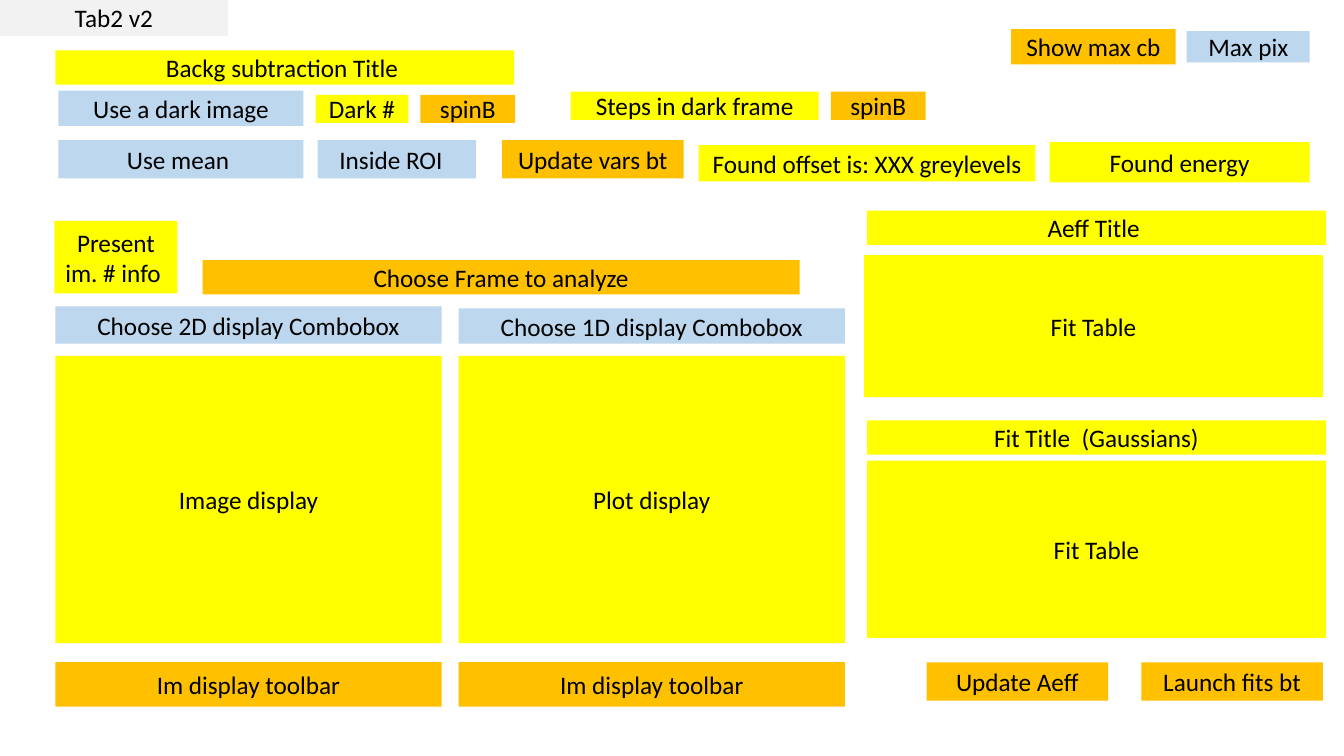
from pptx import Presentation
from pptx.dml.color import RGBColor
from pptx.enum.shapes import MSO_SHAPE
from pptx.enum.text import MSO_ANCHOR, PP_ALIGN
from pptx.util import Inches, Pt

RECTANGLE = MSO_SHAPE.RECTANGLE
MIDDLE = MSO_ANCHOR.MIDDLE
CENTER = PP_ALIGN.CENTER

COLORS = {
    "tab": "F2F2F2",
    "display": "FFFF00",
    "control": "FFC000",
    "selector": "BDD7EE",
    "text": "000000",
}

TAB = [("Tab2 v2", "tab", 0, -0.02, 2.26, 0.38)]

MAX_PIXEL = [
    ("Show max cb", "control", 10.03, 0.29, 1.63, 0.35),
    ("Max pix", "selector", 11.77, 0.31, 1.22, 0.31),
]

BACKGROUND = [
    ("Backg subtraction Title ", "display", 0.55, 0.5, 4.55, 0.34),
    ("Use a dark image", "selector", 0.58, 0.9, 2.43, 0.35),
    ("Dark #", "display", 3.13, 0.94, 0.92, 0.28),
    ("spinB", "control", 4.17, 0.94, 0.94, 0.28),
    ("Steps in dark frame", "display", 5.66, 0.91, 2.46, 0.28),
    ("spinB", "control", 8.24, 0.91, 0.94, 0.28),
    ("Use mean ", "selector", 0.58, 1.39, 2.43, 0.38),
    ("Inside ROI  ", "selector", 3.15, 1.39, 1.57, 0.38),
    ("Update vars bt", "control", 4.98, 1.39, 1.8, 0.38),
    ("Found offset is: XXX greylevels", "display", 6.93, 1.44, 3.34, 0.36),
    ("Found energy", "display", 10.41, 1.41, 2.58, 0.4),
]

FRAME = [
    ("Present im. # info ", "display", 0.54, 2.19, 1.22, 0.72),
    ("Choose Frame to analyze", "control", 2.01, 2.58, 5.92, 0.34),
]

VIEWERS = [
    (0.55, "Choose 2D display Combobox", 3.04, "Image display"),
    (4.55, "Choose 1D display Combobox", 3.06, "Plot display"),
]
VIEWER_WIDTH = 3.83
SELECTOR_BOTTOM = 3.41

FITS = [
    ("Aeff Title ", "display", 8.6, 2.09, 4.55, 0.34),
    ("Fit Table", "display", 8.57, 2.53, 4.55, 1.41),
    ("Fit Title  (Gaussians)", "display", 8.6, 4.17, 4.55, 0.34),
    ("Fit Table", "display", 8.6, 4.57, 4.55, 1.76),
    ("Update Aeff", "control", 9.19, 6.57, 1.8, 0.38),
    ("Launch fits bt", "control", 11.32, 6.57, 1.8, 0.38),
]


def write_text(box, text, size=18, font="Calibri", color="text"):
    frame = box.text_frame
    frame.word_wrap = True
    frame.vertical_anchor = MIDDLE
    para = frame.paragraphs[0]
    para.alignment = CENTER
    span = para.add_run()
    span.text = text
    span.font.size = Pt(size)
    span.font.name = font
    span.font.color.rgb = RGBColor.from_string(COLORS[color])


def add_widget(page, text, role, left, top, width, height):
    box = page.shapes.add_shape(
        RECTANGLE, Inches(left), Inches(top), Inches(width), Inches(height)
    )
    box.shadow.inherit = False
    box.fill.solid()
    box.fill.fore_color.rgb = RGBColor.from_string(COLORS[role])
    box.line.fill.background()
    write_text(box, text)


deck = Presentation()
deck.slide_width = Inches(13.33)
deck.slide_height = Inches(7.5)
page = deck.slides.add_slide(deck.slide_layouts[6])

for widget in TAB + MAX_PIXEL + BACKGROUND + FRAME + FITS:
    add_widget(page, *widget)

for left, selector, selector_top, display in VIEWERS:
    selector_height = SELECTOR_BOTTOM - selector_top
    for text, role, top, height in [
        (selector, "selector", selector_top, selector_height),
        (display, "display", 3.53, 2.85),
        ("Im display toolbar", "control", 6.57, 0.44),
    ]:
        add_widget(page, text, role, left, top, VIEWER_WIDTH, height)

deck.save("out.pptx")
